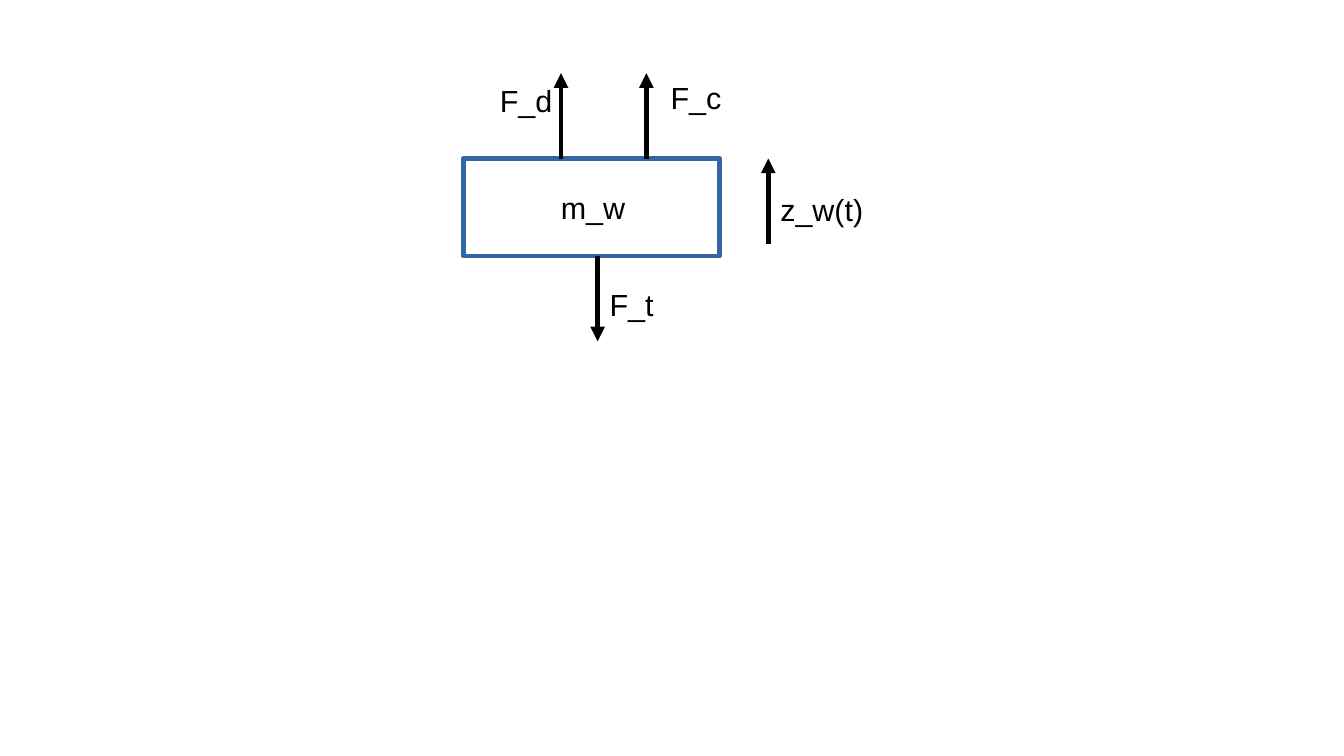
import pptx
import pptx.dml.color
import pptx.enum.shapes
import pptx.enum.text
import pptx.oxml.ns
import pptx.util
from lxml import etree

BLACK = pptx.dml.color.RGBColor(0x00, 0x00, 0x00)
BLUE = pptx.dml.color.RGBColor(0x34, 0x65, 0xA4)

# Content, in grid units of a tenth of an inch
GRID = 0.1
LINE_WIDTH = 2.89
ARROW_LENGTH = 7
MASS = (38, 13, 21, 8)  # left, top, width, height
MASS_TOP, MASS_BOTTOM = MASS[1], MASS[1] + MASS[3]
UP, DOWN = -1, 1
ARROWS = [  # column, starting row, direction
    (46, MASS_TOP, UP),
    (53, MASS_TOP, UP),
    (49, MASS_BOTTOM, DOWN),
    (63, MASS_TOP + ARROW_LENGTH, UP),
]
LABELS = [  # text, left, top, width, height
    ("m_w", 45, 15, 8, 4),
    ("F_t", 49, 23, 6, 3.8),
    ("z_w(t)", 63, 15.2, 10, 3.8),
    ("F_d", 40, 6.2, 8, 3.8),
    ("F_c", 54, 6, 7, 6.6),
]


def grid(*units):
    return [pptx.util.Inches(unit * GRID) for unit in units]


def add_text(slide, text, box, size=18, font="Arial", color=BLACK):
    frame = slide.shapes.add_textbox(*grid(*box)).text_frame
    frame.word_wrap = True
    frame.auto_size = pptx.enum.text.MSO_AUTO_SIZE.SHAPE_TO_FIT_TEXT
    paragraph = frame.paragraphs[0]
    paragraph.text = text
    paragraph.font.size = pptx.util.Pt(size)
    paragraph.font.name = font
    paragraph.font.color.rgb = color


def add_arrow(slide, column, row, direction):
    end = row + direction * ARROW_LENGTH
    arrow = slide.shapes.add_connector(
        pptx.enum.shapes.MSO_CONNECTOR.STRAIGHT, *grid(column, row, column, end))
    arrow.line.color.rgb = BLACK
    arrow.line.width = pptx.util.Pt(LINE_WIDTH)
    properties = arrow._element.spPr
    line = properties.find(pptx.oxml.ns.qn("a:ln"))
    etree.SubElement(line, pptx.oxml.ns.qn("a:tailEnd"), type="triangle")
    etree.SubElement(properties, pptx.oxml.ns.qn("a:effectLst"))


def main():
    presentation = pptx.Presentation()
    presentation.slide_width = pptx.util.Inches(11.02)
    presentation.slide_height = pptx.util.Inches(6.2)
    slide = presentation.slides.add_slide(presentation.slide_layouts[6])

    # Wheel mass
    mass = slide.shapes.add_shape(
        pptx.enum.shapes.MSO_SHAPE.RECTANGLE, *grid(*MASS))
    mass.shadow.inherit = False
    mass.fill.background()
    mass.line.color.rgb = BLUE
    mass.line.width = pptx.util.Pt(LINE_WIDTH)

    # Forces and displacement
    for column, row, direction in ARROWS:
        add_arrow(slide, column, row, direction)

    # Labels
    for text, *box in LABELS:
        add_text(slide, text, box)

    presentation.save("out.pptx")


if __name__ == "__main__":
    main()
